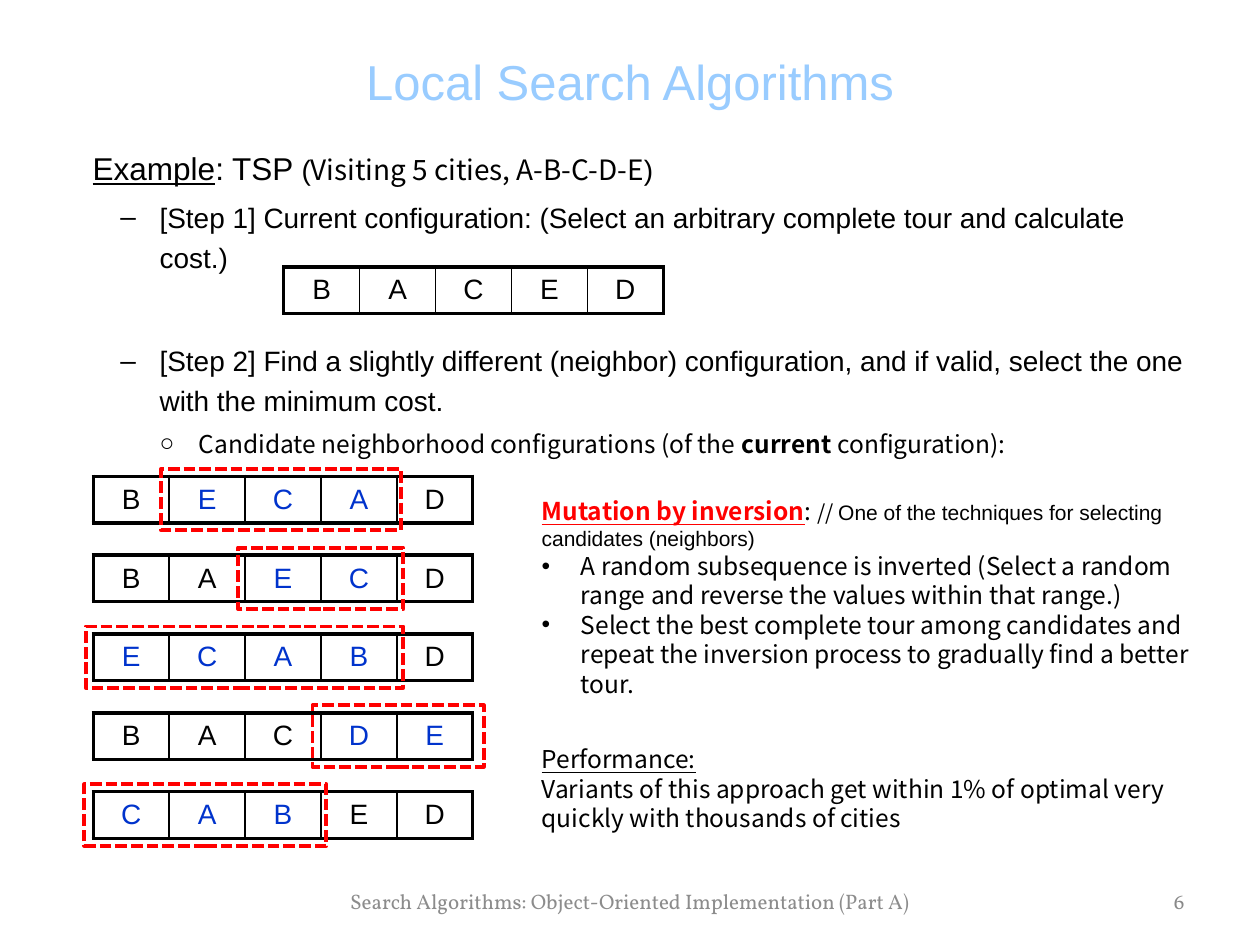
from lxml.etree import SubElement
from pptx import Presentation
from pptx.dml.color import RGBColor
from pptx.enum.dml import MSO_LINE_DASH_STYLE as Dash
from pptx.enum.shapes import MSO_SHAPE as Shape
from pptx.enum.text import MSO_ANCHOR as Anchor, PP_ALIGN as Align
from pptx.oxml.ns import qn
from pptx.util import Cm, Pt

SANS, CJK, SERIF = "Arial", "Noto Sans CJK KR", "Vollkorn"
BLACK, RED, BLUE, SKY = "000000", "FF0000", "0033CC", "99CCFF"
CELL_WIDTH, CELL_HEIGHT, ROW_PITCH = 1.53, 0.94, 1.59
FRAME_MARGIN = 0.15
CANDIDATES = [
    ("BECAD", 1.37, 4.83),
    ("BAECD", 2.92, 3.33),
    ("ECABD", -0.15, 6.4),
    ("BACDE", 4.42, 3.45),
    ("CABED", -0.18, 4.88),
]


def color(value):
    """Turn a hex string into a colour."""
    return RGBColor.from_string(value)


def style(font, name=None, size=None, ink=None, bold=None, underline=None):
    """Set the given properties of a font."""
    if name:
        font.name = name
    if size:
        font.size = Pt(size)
    if ink:
        font.color.rgb = color(ink)
    if bold is not None:
        font.bold = bold
    if underline is not None:
        font.underline = underline


def add_box(page, left, top, width, height, anchor=Anchor.TOP):
    """Add a wrapping text box and return its text frame."""
    frame = page.shapes.add_textbox(Cm(left), Cm(top), Cm(width), Cm(height)).text_frame
    frame.word_wrap = True
    frame.vertical_anchor = anchor
    return frame


def write(frame, spans, name, size, ink=BLACK, align=Align.LEFT, indent=0, hanging=0,
          bullet=None, before=0, spacing=None):
    """Write one paragraph from (text, overrides) spans."""
    para = frame.paragraphs[0]
    if para.runs:
        para = frame.add_paragraph()
    para.alignment = align
    if before:
        para.space_before = Pt(before)
    if spacing:
        para.line_spacing = spacing
    props = para._p.get_or_add_pPr()
    props.set("marL", str(Cm(indent)))
    props.set("indent", str(-Cm(hanging)))
    if bullet:
        SubElement(props, qn("a:buFont")).set("typeface", SANS)
        SubElement(props, qn("a:buChar")).set("char", bullet)
    style(para.font, name, size, ink)
    for text, overrides in spans:
        span = para.add_run()
        span.text = text
        style(span.font, **overrides)


def add_line(page, text, box, name, size, ink, align):
    """Add a single line of text, centred vertically in its box."""
    write(add_box(page, *box, Anchor.MIDDLE), [(text, {})], name, size, ink, align)


def add_steps(page, left, top, width, height):
    """Write the example heading and the outline of the search steps."""
    frame = add_box(page, left, top, width, height)
    write(frame, [("Example", {"size": 18, "underline": True}), (": TSP ", {"size": 18}),
                  ("(", {}), ("Visiting 5 cities, A-B-C-D-E", {"name": CJK}), (")", {})],
          SANS, 16, indent=0.35, spacing=1.2)
    steps = [
        ("[Step 1] Current configuration: (Select an arbitrary complete tour "
         "and calculate cost.)", 4),
        ("[Step 2] Find a slightly different (neighbor) configuration, and if valid, "
         "select the one with the minimum cost.", 36),
    ]
    for text, before in steps:
        write(frame, [(text, {})], SANS, 16, indent=1.7, hanging=0.79, bullet="–",
              before=before, spacing=1.2)
    write(frame, [("Candidate neighborhood configurations (of the ", {}),
                  ("current", {"bold": True}), (" configuration):", {})],
          CJK, 14, indent=2.49, hanging=0.79, bullet="○", before=3, spacing=1.2)


def set_border(cell, side, width):
    """Draw one side of a cell in black."""
    line = SubElement(cell._tc.get_or_add_tcPr(), qn(f"a:{side}"), w=str(Pt(width)))
    fill = SubElement(line, qn("a:solidFill"))
    SubElement(fill, qn("a:srgbClr")).set("val", BLACK)


def add_tour(page, letters, left, top, changed=()):
    """Add a one-row table of cities, with the changed columns in blue."""
    count = len(letters)
    table = page.shapes.add_table(1, count, Cm(left), Cm(top), Cm(CELL_WIDTH * count),
                                  Cm(CELL_HEIGHT)).table
    table.first_row = table.horz_banding = False
    for index, letter in enumerate(letters):
        table.columns[index].width = Cm(CELL_WIDTH)
        cell = table.cell(0, index)
        cell.vertical_anchor = Anchor.MIDDLE
        write(cell.text_frame, [(letter, {})], SANS, 16,
              BLUE if index in changed else BLACK, Align.CENTER)
        set_border(cell, "lnL", 2.25 if index == 0 else 1)
        set_border(cell, "lnR", 2.25 if index == count - 1 else 1)
        set_border(cell, "lnT", 2.25)
        set_border(cell, "lnB", 2.25)
        cell.fill.background()


def add_frame(page, left, top, width, height):
    """Add a dashed red outline."""
    frame = page.shapes.add_shape(Shape.RECTANGLE, Cm(left), Cm(top), Cm(width), Cm(height))
    frame.shadow.inherit = False
    frame.fill.background()
    frame.line.color.rgb = color(RED)
    frame.line.width = Pt(2.25)
    frame.line.dash_style = Dash.SQUARE_DOT


def add_candidates(page, left, top):
    """Stack the candidate tours, each with its inverted range framed."""
    for row, (letters, start, width) in enumerate(CANDIDATES):
        row_top = top + row * ROW_PITCH
        changed = [index for index in range(len(letters))
                   if start < (index + 0.5) * CELL_WIDTH < start + width]
        add_tour(page, letters, left, row_top, changed)
        add_frame(page, left + start, row_top - FRAME_MARGIN, width,
                  CELL_HEIGHT + 2 * FRAME_MARGIN)


def add_mutation(page, left, top, width, height):
    """Explain mutation by inversion."""
    frame = add_box(page, left, top, width, height)
    write(frame, [("Mutation by inversion", {"ink": RED, "bold": True, "underline": True}),
                  (": ", {}), ("// ", {"size": 12}),
                  ("One of the techniques for selecting candidates (neighbors)",
                   {"name": SANS, "size": 12})], CJK, 14)
    for text in ("A random subsequence is inverted (Select a random range and reverse "
                 "the values within that range.)",
                 "Select the best complete tour among candidates and repeat the "
                 "inversion process to gradually find a better tour."):
        write(frame, [(text, {})], CJK, 14, indent=0.79, hanging=0.79, bullet="•")


def add_performance(page, left, top, width, height):
    """Describe how well the approach performs."""
    frame = add_box(page, left, top, width, height)
    write(frame, [("Performance:", {"underline": True})], CJK, 14)
    write(frame, [("Variants of this approach get within 1% of optimal very quickly "
                   "with thousands of cities", {})], CJK, 14)


def main():
    """Build the slide and save it."""
    deck = Presentation()
    deck.slide_width, deck.slide_height = Cm(25.4), Cm(19.05)
    page = deck.slides.add_slide(deck.slide_layouts[6])
    add_steps(page, 1.27, 2.72, 22.86, 14.6)
    add_line(page, "Local Search Algorithms", (1.27, 0.76, 22.86, 1.75),
             SANS, 28, SKY, Align.CENTER)
    add_line(page, "Search Algorithms: Object-Oriented Implementation (Part A)",
             (5.7, 17.65, 14, 1.02), SERIF, 12, "8C8C8C", Align.CENTER)
    add_tour(page, "BACED", 5.72, 5.38)
    add_candidates(page, 1.88, 9.6)
    add_performance(page, 10.67, 14.88, 13.46, 2.06)
    add_mutation(page, 10.67, 9.88, 13.92, 4.37)
    add_line(page, "6", (21.11, 17.65, 3.02, 1.02), SERIF, 12, "898989", Align.RIGHT)
    deck.save("out.pptx")


if __name__ == "__main__":
    main()
